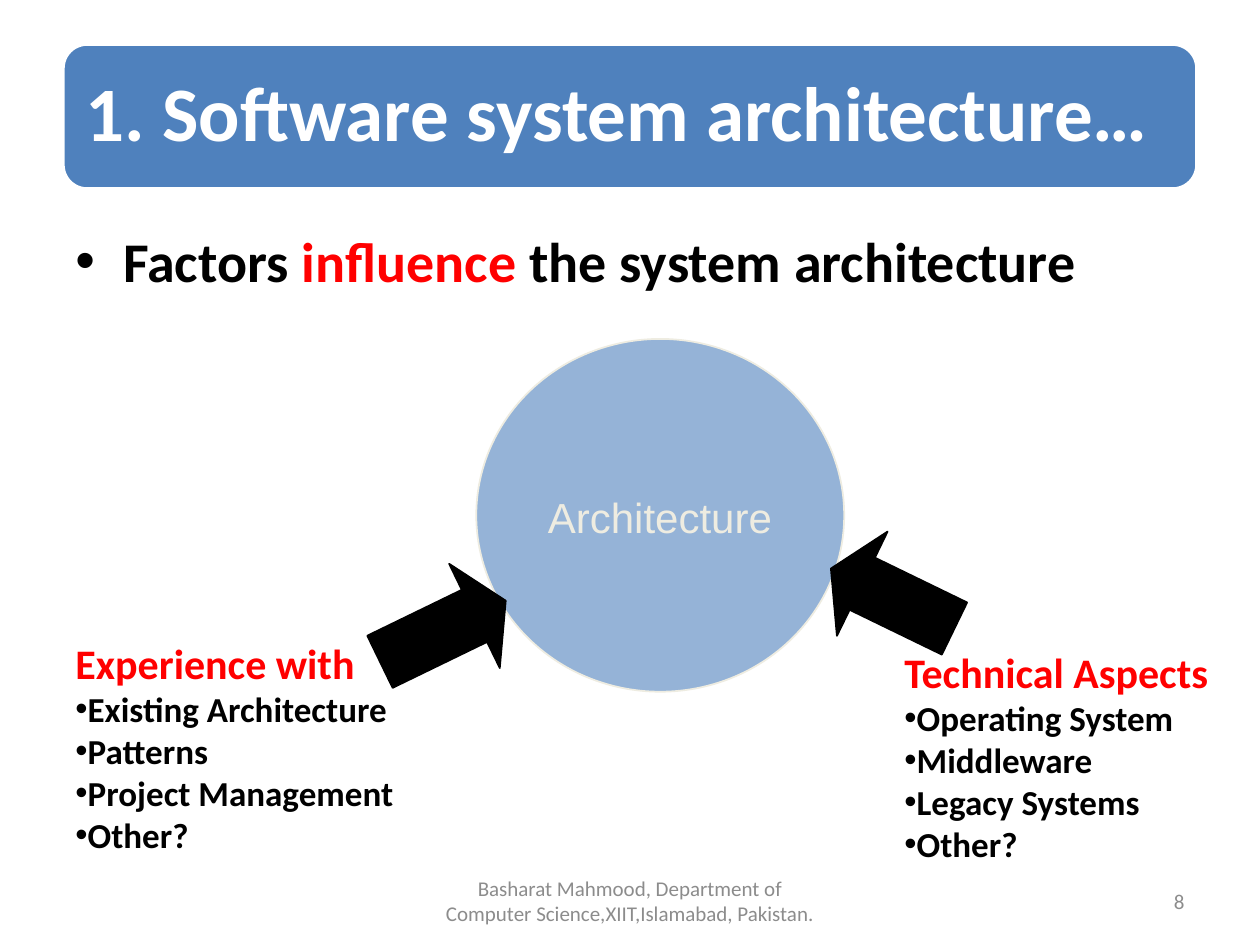
from lxml import etree
from pptx import Presentation
from pptx.dml.color import RGBColor
from pptx.enum.shapes import MSO_SHAPE
from pptx.enum.text import MSO_ANCHOR, MSO_AUTO_SIZE, PP_ALIGN
from pptx.oxml.ns import qn
from pptx.util import Inches, Pt

LEFT, MID, RIGHT = PP_ALIGN.LEFT, PP_ALIGN.CENTER, PP_ALIGN.RIGHT
TOP, CENTER = MSO_ANCHOR.TOP, MSO_ANCHOR.MIDDLE
GROW, FIXED = MSO_AUTO_SIZE.SHAPE_TO_FIT_TEXT, MSO_AUTO_SIZE.NONE
ROUND, OVAL, ARROW = MSO_SHAPE.ROUNDED_RECTANGLE, MSO_SHAPE.OVAL, MSO_SHAPE.RIGHT_ARROW

WIDE, HIGH = 10, 7.5
EDGE = 0.05 * WIDE
SPAN = WIDE - 2 * EDGE
FOOT = 6.95
COLORS = {
    "bar": "4F81BD", "disc": "95B3D7", "cream": "EEECE1", "white": "FFFFFF",
    "black": "000000", "red": "FF0000", "gray": "8C8C8C",
}


def color(name):
    return RGBColor.from_string(COLORS[name])


def box(slide, *area):
    return slide.shapes.add_textbox(*map(Inches, area))


def bullet(para, hang):
    props = para._p.get_or_add_pPr()
    props.set("marL", str(Inches(hang)))
    props.set("indent", str(-Inches(hang)))
    etree.SubElement(props, qn("a:buFont")).set("typeface", "Arial")
    etree.SubElement(props, qn("a:buChar")).set("char", "•")


def write(para, text, size=20, tone="black", bold=False, font="Calibri", align=LEFT):
    para.alignment = align
    run = para.add_run()
    run.text = text
    run.font.name = font
    run.font.size = Pt(size)
    run.font.bold = bold
    run.font.color.rgb = color(tone)


def frame(shape, wrap=True, anchor=TOP, fit=FIXED):
    body = shape.text_frame
    body.word_wrap = wrap
    body.vertical_anchor = anchor
    body.auto_size = fit
    return body


def draw(slide, kind, area, fill, line, width=1, turn=0):
    shape = slide.shapes.add_shape(kind, *map(Inches, area))
    shape.shadow.inherit = False
    shape.fill.solid()
    shape.fill.fore_color.rgb = color(fill)
    shape.line.color.rgb = color(line)
    shape.line.width = Pt(width)
    shape.rotation = turn
    return shape


def head(slide, text):
    area = (EDGE, 0.35, SPAN, 1.15)
    bar = draw(slide, ROUND, area, "bar", "white", 2)
    title = slide.shapes.title
    bar._element.addnext(title._element)
    title.left, title.top, title.width, title.height = map(Inches, area)
    body = frame(title, anchor=CENTER)
    body.margin_left = body.margin_right = Inches(0.18)
    body.margin_top = body.margin_bottom = Inches(0.18)
    para = body.paragraphs[0]
    para.line_spacing = 0.9
    write(para, text, size=44, tone="white", bold=True)


def point(slide, parts):
    para = frame(box(slide, EDGE, 1.75, SPAN, 0.8)).paragraphs[0]
    bullet(para, 0.38)
    for text, tone in parts:
        write(para, text, size=32, tone=tone, bold=True)


def factors(slide, left, top, width, name, items):
    body = frame(box(slide, left, top, width, 1.85), wrap=False, fit=GROW)
    write(body.paragraphs[0], name, size=24, tone="red", bold=True)
    for item in items:
        para = body.add_paragraph()
        bullet(para, 0)
        write(para, item, bold=True)


def arrow(slide, area, turn):
    shape = draw(slide, ARROW, area, "black", "black", turn=turn)
    shape.adjustments[1] = 0.3


def foot(slide, left, width, text, align):
    body = frame(box(slide, left, FOOT, width, 0.4), anchor=CENTER)
    write(body.paragraphs[0], text, size=12, tone="gray", align=align)


def main():
    deck = Presentation()
    deck.slide_width, deck.slide_height = Inches(WIDE), Inches(HIGH)
    slide = deck.slides.add_slide(deck.slide_layouts[5])

    head(slide, "1. Software system architecture…")
    foot(slide, (WIDE - 3.17) / 2, 3.17,
         "Basharat Mahmood, Department of Computer Science,XIIT,Islamabad, Pakistan.", MID)
    foot(slide, WIDE - EDGE - 2.33, 2.33, "8", RIGHT)
    point(slide, [("Factors", "black"), (" influence", "red"),
                  (" the system architecture", "black")])

    draw(slide, OVAL, (3.78, 2.69, 2.92, 2.8), "disc", "cream")
    label = frame(box(slide, 4.25, 3.85, 1.98, 0.5), wrap=False, fit=GROW)
    write(label.paragraphs[0], "Architecture", size=24, tone="cream", font="Arial")

    arrow(slide, (2.96, 4.55, 1.11, 0.92), -25.9)
    factors(slide, EDGE, 5.01, 2.79, "Experience with",
            ["Existing Architecture", "Patterns", "Project Management", "Other?"])
    factors(slide, 7.08, 5.08, 2.67, "Technical Aspects",
            ["Operating System", "Middleware", "Legacy Systems", "Other?"])
    arrow(slide, (6.54, 4.29, 1.09, 0.92), 180 + 25.9)

    deck.save("out.pptx")


if __name__ == "__main__":
    main()
